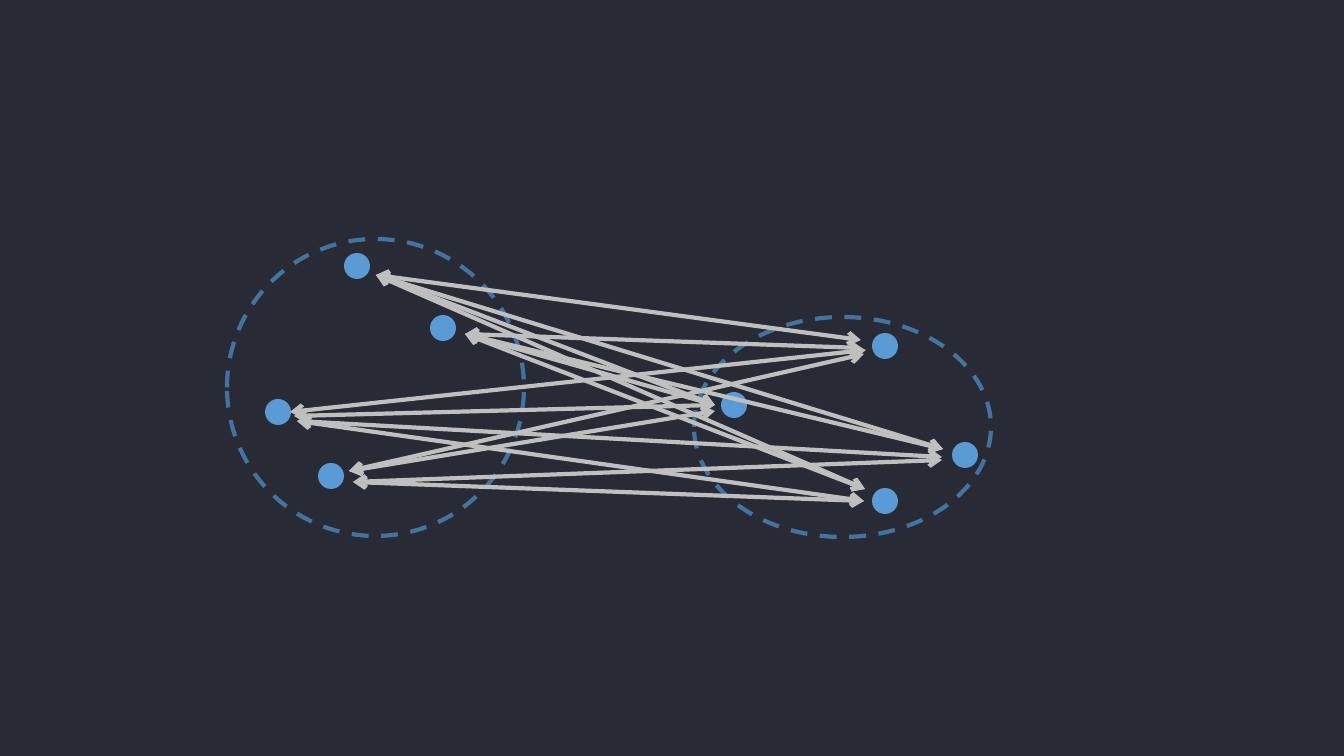
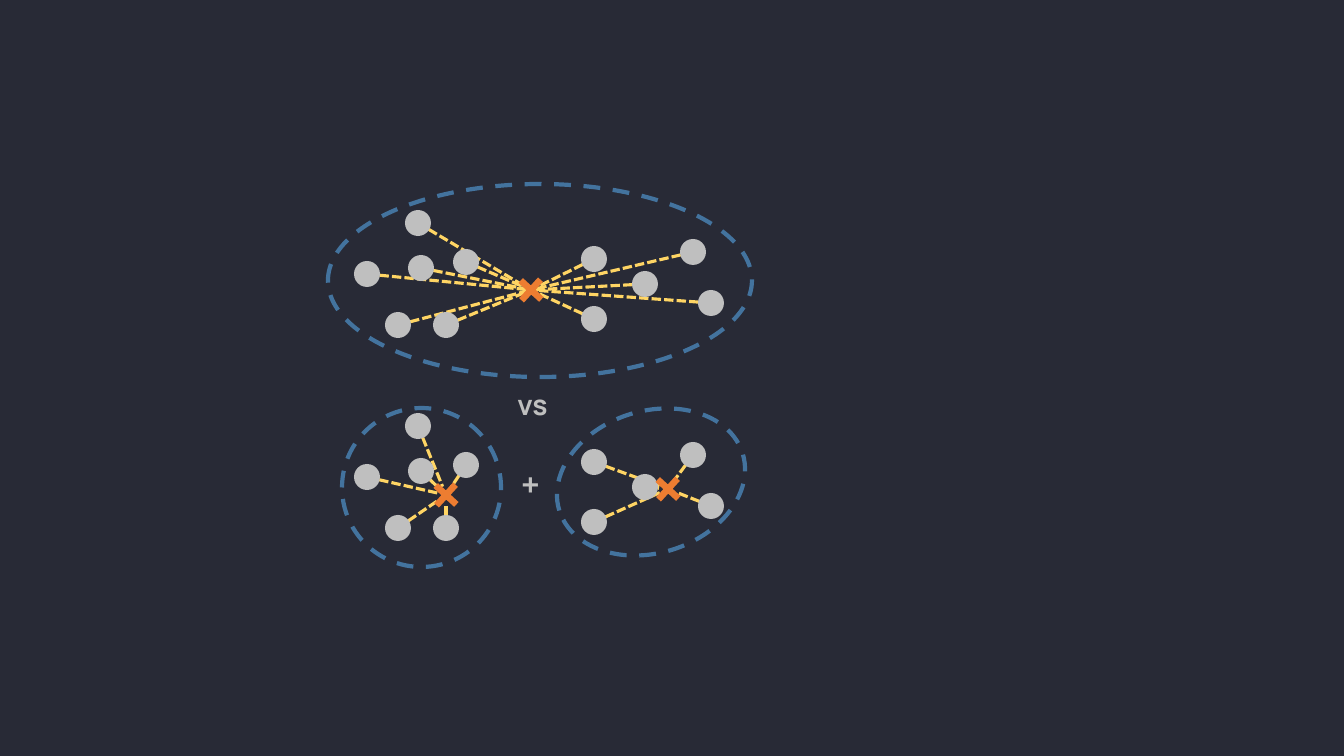
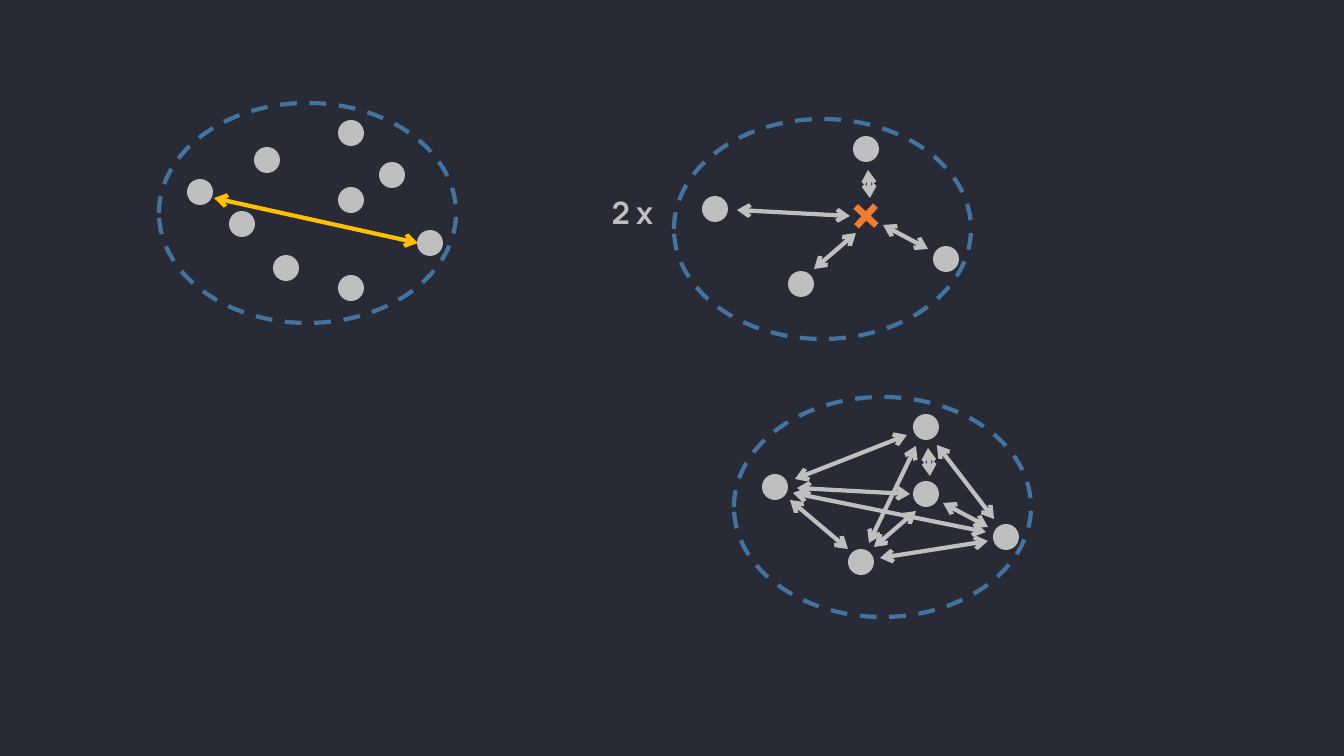
from math import hypot

from pptx import Presentation
from pptx.dml.color import RGBColor
from pptx.enum.dml import MSO_LINE_DASH_STYLE as DASH
from pptx.enum.shapes import MSO_CONNECTOR, MSO_SHAPE
from pptx.enum.text import MSO_ANCHOR, PP_ALIGN
from pptx.oxml.ns import qn
from pptx.util import Pt
from lxml.etree import SubElement

PX = 12192000 / 1344
FONT = "Manrope"
NAVY = RGBColor(0x28, 0x2A, 0x36)
STEEL = RGBColor(0x43, 0x73, 0x9E)
BLUE = RGBColor(0x5B, 0x9B, 0xD5)
GREY = RGBColor(0xBF, 0xBF, 0xBF)
ORANGE = RGBColor(0xED, 0x7D, 0x31)
YELLOW = RGBColor(0xFF, 0xD5, 0x64)
AMBER = RGBColor(0xFF, 0xC0, 0x00)

DOT = 26
CROSS = 28
OVAL = (297, 220)


def px(*values):
    return [round(v * PX) for v in values]


def shift(points, dx, dy):
    return [(x + dx, y + dy) for x, y in points]


def add_ring(slide, left, top, width, height, rotation=0):
    sp = slide.shapes.add_shape(MSO_SHAPE.OVAL, *px(left, top, width, height))
    sp.shadow.inherit = False
    sp.rotation = rotation
    sp.fill.background()
    sp.line.color.rgb = STEEL
    sp.line.width = Pt(3)
    sp.line.dash_style = DASH.DASH


def add_mark(slide, kind, center, size, color):
    x, y = center
    sp = slide.shapes.add_shape(kind, *px(x - size / 2, y - size / 2, size, size))
    sp.shadow.inherit = False
    sp.fill.solid()
    sp.fill.fore_color.rgb = color
    sp.line.fill.background()
    return sp


def add_dots(slide, centers, color=GREY):
    for center in centers:
        add_mark(slide, MSO_SHAPE.OVAL, center, DOT, color)


def add_cross(slide, center):
    sp = add_mark(slide, MSO_SHAPE.CROSS, center, CROSS, ORANGE)
    sp.adjustments[0] = 0.383
    sp.rotation = 42.5


def add_line(slide, start, end, color, width):
    cxn = slide.shapes.add_connector(MSO_CONNECTOR.STRAIGHT, *px(*start, *end))
    cxn.line.color.rgb = color
    cxn.line.width = Pt(width)
    SubElement(cxn._element.spPr, qn("a:effectLst"))
    return cxn


def add_arrow(slide, start, end, color=GREY):
    ln = add_line(slide, start, end, color, 3).line._get_or_add_ln()
    for tag in ("a:headEnd", "a:tailEnd"):
        SubElement(ln, qn(tag), type="arrow")


def add_spokes(slide, dots, hub, gap=0):
    hx, hy = hub
    for x, y in dots:
        k = gap / hypot(x - hx, y - hy)
        end = (hx + (x - hx) * k, hy + (y - hy) * k)
        add_line(slide, (x, y), end, YELLOW, 2.25).line.dash_style = DASH.SQUARE_DOT


def add_label(slide, text, left, top, width, height, size):
    tf = slide.shapes.add_textbox(*px(left, top, width, height)).text_frame
    tf.word_wrap = False
    tf.vertical_anchor = MSO_ANCHOR.MIDDLE
    tf.text = text
    p = tf.paragraphs[0]
    p.alignment = PP_ALIGN.CENTER
    font = p.runs[0].font
    font.name = FONT
    font.size = Pt(size)
    font.bold = True
    font.color.rgb = GREY


def add_star(slide, dx, dy):
    add_ring(slide, 674 + dx, 119 + dy, *OVAL)
    dots = [(715, 209), (801, 284), (946, 259), (866, 149)]
    add_dots(slide, shift(dots, dx, dy))
    arrows = [
        ((737, 210), (850, 216)),
        ((870, 198), (868, 170)),
        ((928, 249), (883, 225)),
        ((856, 233), (814, 269)),
    ]
    for ends in arrows:
        add_arrow(slide, *shift(ends, dx, dy))


def build_pairwise_links(slide):
    add_ring(slide, 227, 239, 297, 297)
    add_ring(slide, 694, 317, *OVAL)
    left = [(357, 266), (443, 328), (278, 412), (331, 476)]
    right = [(734, 405), (885, 346), (965, 455), (885, 501)]
    add_dots(slide, left + right, BLUE)
    fans = [
        ((290, 412), [(866, 350)]),
        ((297, 421), [(942, 457), (864, 501)]),
        ((294, 416), [(715, 405)]),
        ((349, 471), [(864, 354), (715, 411)]),
        ((376, 275), [(715, 405), (861, 340), (943, 449), (865, 489)]),
        ((465, 334), [(715, 405), (862, 348), (943, 449), (865, 489)]),
        ((353, 482), [(864, 501), (942, 460)]),
    ]
    for start, ends in fans:
        for end in ends:
            add_arrow(slide, start, end)


def build_merged_versus_split(slide):
    left = [(466, 262), (367, 274), (398, 325), (421, 268), (418, 223), (446, 325)]
    right = [(594, 259), (594, 319), (711, 303), (693, 252), (645, 284)]
    low_left, low_right = shift(left, 0, 203), shift(right, 0, 203)
    hub, left_hub, right_hub = (531, 290), (446, 495), (668, 489)
    add_spokes(slide, left + right, hub)
    add_spokes(slide, low_left, left_hub, 9)
    add_spokes(slide, low_right, right_hub, 9)
    add_ring(slide, 342, 408, 159, 159)
    add_ring(slide, 555, 411, 192, 142, 342.7)
    add_ring(slide, 328, 184, 424, 193)
    add_dots(slide, left + right + low_left + low_right)
    for center in (hub, left_hub, right_hub):
        add_cross(slide, center)
    add_label(slide, "vs", 505, 384, 55, 40, 20)
    add_label(slide, "+", 511, 464, 38, 40, 24)


def build_diameters(slide):
    add_ring(slide, 159, 103, *OVAL)
    add_dots(slide, [
        (200, 192), (267, 160), (242, 224), (286, 268), (351, 200),
        (430, 243), (392, 175), (351, 133), (351, 288),
    ])
    add_arrow(slide, (214, 198), (418, 243), AMBER)

    add_star(slide, 60, 278)
    add_dots(slide, [(926, 494)])
    outer_arrows = [
        ((795, 479), (907, 435)),
        ((790, 500), (848, 549)),
        ((793, 493), (986, 532)),
        ((869, 543), (916, 446)),
        ((994, 519), (937, 445)),
        ((988, 541), (880, 558)),
    ]
    for start, end in outer_arrows:
        add_arrow(slide, start, end)

    add_star(slide, 0, 0)
    add_cross(slide, (866, 216))
    add_label(slide, "2 x", 600, 187, 65, 51, 22)


def main():
    prs = Presentation()
    prs.slide_width, prs.slide_height = px(1344, 756)
    fill = prs.slide_master.background.fill
    fill.solid()
    fill.fore_color.rgb = NAVY
    blank = prs.slide_layouts[6]
    for build in (build_pairwise_links, build_merged_versus_split, build_diameters):
        build(prs.slides.add_slide(blank))
    prs.save("out.pptx")


main()
